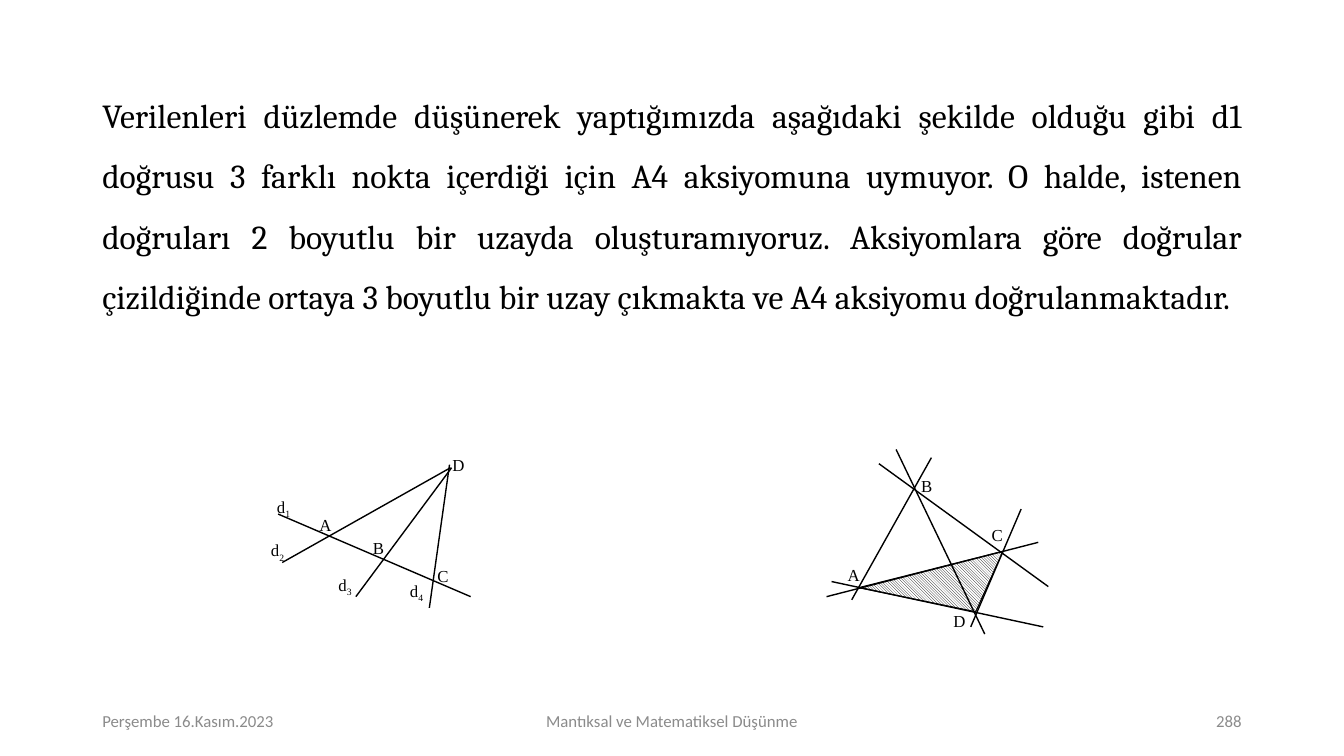
from dataclasses import dataclass

from lxml import etree
from pptx import Presentation
from pptx.dml.color import RGBColor
from pptx.enum.dml import MSO_PATTERN
from pptx.enum.shapes import MSO_CONNECTOR
from pptx.enum.text import MSO_ANCHOR, PP_ALIGN
from pptx.oxml.ns import qn
from pptx.util import Pt

LEFT, CENTER, RIGHT, JUSTIFY = PP_ALIGN.LEFT, PP_ALIGN.CENTER, PP_ALIGN.RIGHT, PP_ALIGN.JUSTIFY
TOP, MIDDLE = MSO_ANCHOR.TOP, MSO_ANCHOR.MIDDLE
STRAIGHT = MSO_CONNECTOR.STRAIGHT
HATCH = MSO_PATTERN.LIGHT_DOWNWARD_DIAGONAL


@dataclass(frozen=True)
class Theme:
    ink: RGBColor = RGBColor(0x00, 0x00, 0x00)
    paper: RGBColor = RGBColor(0xFF, 0xFF, 0xFF)
    muted: RGBColor = RGBColor(0x8B, 0x8B, 0x8B)
    body_font: str = "Cambria"
    footer_font: str = "Calibri"
    label_font: str = "Times New Roman"
    body_size: int = 24
    small_size: int = 12


theme = Theme()


def add_text(shapes, text, box, font, size, color, align=LEFT, anchor=TOP):
    """Add a one-paragraph text box and return its paragraph."""
    frame = shapes.add_textbox(*map(Pt, box)).text_frame
    frame.word_wrap = True
    frame.vertical_anchor = anchor
    paragraph = frame.paragraphs[0]
    paragraph.add_run().text = text
    paragraph.alignment = align
    paragraph.font.name = font
    paragraph.font.size = Pt(size)
    paragraph.font.color.rgb = color
    return paragraph


def add_figure(slide, lines, labels, label_size, triangle=None):
    """Group the lines, point labels and optional hatched triangle of one figure."""
    shapes = slide.shapes.add_group_shape().shapes
    if triangle:
        corners = [(Pt(x), Pt(y)) for x, y in triangle]
        builder = shapes.build_freeform(*corners[0])
        builder.add_line_segments(corners[1:], close=True)
        shape = builder.convert_to_shape()
        shape.shadow.inherit = False
        shape.fill.patterned()
        shape.fill.pattern = HATCH
        shape.fill.fore_color.rgb = theme.ink
        shape.fill.back_color.rgb = theme.paper
        shape.line.color.rgb = theme.ink
        shape.line.width = Pt(0.75)
    for line in lines:
        connector = shapes.add_connector(STRAIGHT, *map(Pt, line))
        connector.line.color.rgb = theme.ink
        connector.line.width = Pt(1)
        etree.SubElement(connector._element.spPr, qn("a:effectLst"))
    width, height = label_size
    for name, left, top in labels:
        letter, index = name[0], name[1:]
        box = (left, top, width + 12 if index else width, height)
        paragraph = add_text(shapes, letter, box, theme.label_font, theme.small_size, theme.ink)
        if index:
            run = paragraph.add_run()
            run.text = index
            run._r.get_or_add_rPr().set("baseline", "-25000")


presentation = Presentation()
presentation.slide_width, presentation.slide_height = Pt(960), Pt(540)
slide = presentation.slides.add_slide(presentation.slide_layouts[6])

footers = [
    ("Perşembe 16.Kasım.2023", 66, 216, LEFT),
    ("Mantıksal ve Matematiksel Düşünme", 318, 324, CENTER),
    ("288", 678, 216, RIGHT),
]
for text, left, width, align in footers:
    add_text(slide.shapes, text, (left, 500.5, width, 28.8), theme.footer_font,
             theme.small_size, theme.muted, align, MIDDLE)

body = add_text(
    slide.shapes,
    "Verilenleri düzlemde düşünerek yaptığımızda aşağıdaki şekilde olduğu gibi d1 "
    "doğrusu 3 farklı nokta içerdiği için A4 aksiyomuna uymuyor. O halde, istenen "
    "doğruları 2 boyutlu bir uzayda oluşturamıyoruz. Aksiyomlara göre doğrular "
    "çizildiğinde ortaya 3 boyutlu bir uzay çıkmakta ve A4 aksiyomu doğrulanmaktadır.",
    (66, 49.7, 828, 180), theme.body_font, theme.body_size, theme.ink, JUSTIFY)
body.line_spacing = 1.5

plane_lines = [
    (198.7, 367.2, 336.2, 426.2),
    (201.6, 401.8, 321.8, 334.1),
    (254.2, 426.2, 322.6, 334.1),
    (306.7, 434.2, 321.1, 331.9),
]
plane_labels = [
    ("A", 221, 364.3), ("B", 259.2, 380.2), ("C", 305.3, 400.3), ("D", 316.1, 321.1),
    ("d1", 190.8, 351.4), ("d2", 186.5, 382.3), ("d3", 234.7, 406.8), ("d4", 285.8, 411.1),
]
add_figure(slide, plane_lines, plane_labels, (27.4, 24.5))

space_lines = [
    (590.4, 426.2, 741.6, 387.4),
    (608.4, 428.4, 665.3, 326.9),
    (627.8, 331.2, 748.8, 419),
    (640.1, 321.1, 703.4, 452.9),
    (693.4, 447.8, 729.4, 363.6),
    (594, 415.4, 745.2, 447.8),
]
space_labels = [
    ("A", 598.3, 399.6), ("B", 650.9, 336.2), ("C", 701.3, 371.5), ("D", 673.9, 432.7),
]
base_triangle = [(613.4, 419.8), (716.4, 393.8), (697, 437)]
add_figure(slide, space_lines, space_labels, (23.8, 21.6), base_triangle)

presentation.save("out.pptx")
